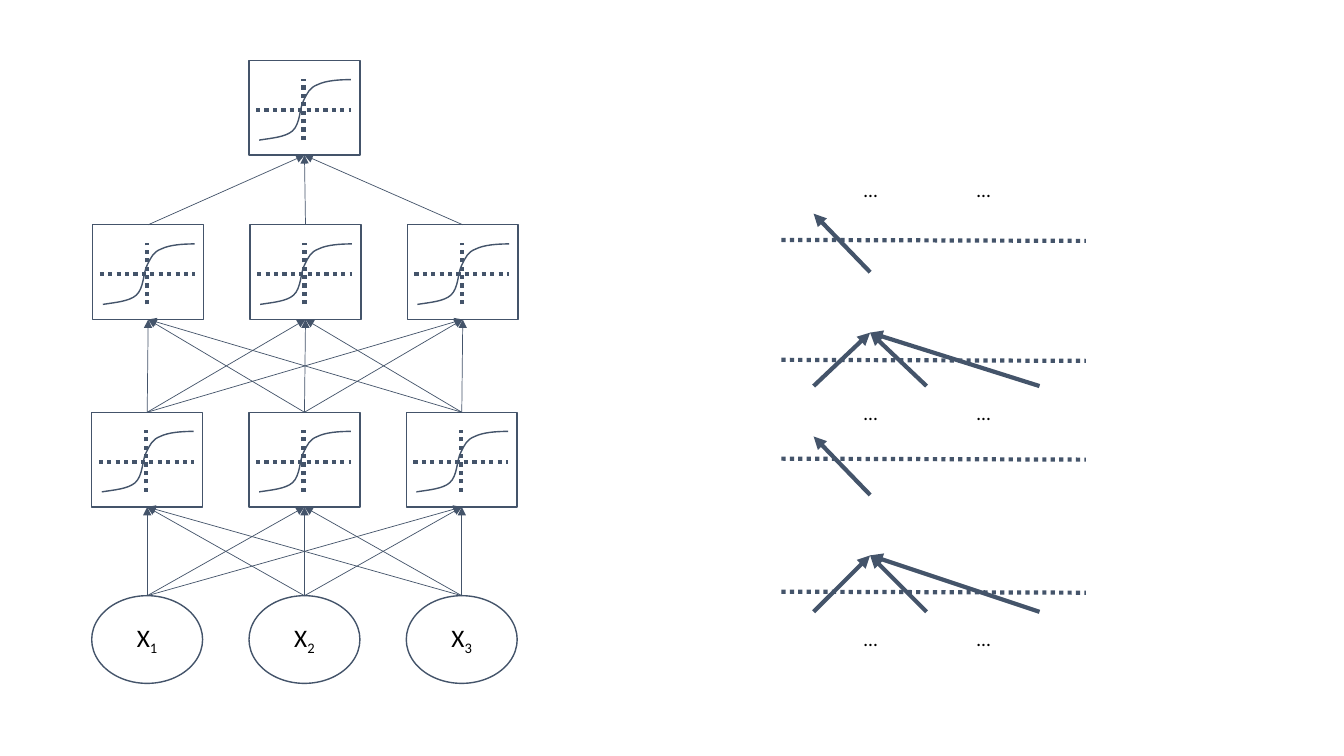
from itertools import product

from pptx import Presentation
from pptx.dml.color import RGBColor
from pptx.enum.dml import MSO_LINE
from pptx.enum.shapes import MSO_CONNECTOR, MSO_SHAPE
from pptx.enum.text import MSO_ANCHOR, MSO_AUTO_SIZE, PP_ALIGN
from pptx.oxml.ns import qn
from pptx.util import Inches, Pt
from lxml.etree import SubElement

PX = Inches(0.01)
SLATE = RGBColor(0x44, 0x54, 0x6A)
BLACK = RGBColor(0, 0, 0)
FONT = "Calibri"

COLUMNS = [91 + 156 * i for i in range(3)]
UNIT_WIDTH, UNIT_HEIGHT, INPUT_HEIGHT = 110, 94, 87
INPUT_TOP, LOWER_TOP, UPPER_TOP, OUTPUT_TOP = 591, 409, 223, 60

# Sigmoid inside a unit: a start point, then cubic segments (two controls, end)
SIGMOID_START = (10, 79)
SIGMOID_CURVES = [
    ((23, 77), (36, 76), (43, 70)),
    ((51, 63), (50, 47), (54, 40)),
    ((58, 32), (60, 27), (68, 24)),
    ((76, 20), (89, 19), (101, 19)),
]
SIGMOID_LEFT, SIGMOID_TOP = 10, 19


def add_span(para, text, size, baseline=None):
    span = para.add_run()
    span.text = text
    span.font.name = FONT
    span.font.size = Pt(size)
    span.font.color.rgb = BLACK
    if baseline is not None:
        span.font._element.set("baseline", str(baseline * 1000))


def outline(shape, weight=1):
    shape.fill.background()
    shape.line.color.rgb = SLATE
    shape.line.width = Pt(weight)
    shape.shadow.inherit = False


def add_line(group, start, end, weight, dotted=False, arrow=False):
    connector = group.shapes.add_connector(
        MSO_CONNECTOR.STRAIGHT, *(value * PX for value in (*start, *end)))
    connector.line.color.rgb = SLATE
    connector.line.width = Pt(weight)
    if dotted:
        connector.line.dash_style = MSO_LINE.ROUND_DOT
    properties = connector._element.spPr
    if arrow:
        SubElement(properties.find(qn("a:ln")), qn("a:tailEnd"), type="triangle")
    SubElement(properties, qn("a:effectLst"))
    return connector


def add_sigmoid(group, left, top):
    """Add the sigmoid by bending each straight segment into a cubic curve."""
    start, *ends = [((left + x) * PX, (top + y) * PX) for x, y in
                    (SIGMOID_START, *(curve[-1] for curve in SIGMOID_CURVES))]
    builder = group.shapes.build_freeform(*start)
    builder.add_line_segments(ends, close=False)
    sigmoid = builder.convert_to_shape()
    outline(sigmoid)
    segments = list(sigmoid._element.iter(qn("a:lnTo")))
    for segment, curve in zip(segments, SIGMOID_CURVES):
        segment.tag = qn("a:cubicBezTo")
        for child in list(segment):
            segment.remove(child)
        for x, y in curve:
            SubElement(segment, qn("a:pt"), x=str((x - SIGMOID_LEFT) * PX),
                       y=str((y - SIGMOID_TOP) * PX))


def add_unit(group, left, top):
    """Add a neuron box with its axes and sigmoid."""
    box = group.shapes.add_shape(MSO_SHAPE.RECTANGLE, left * PX, top * PX,
                                 UNIT_WIDTH * PX, UNIT_HEIGHT * PX)
    outline(box)
    add_sigmoid(group, left, top)
    add_line(group, (left + 7, top + 49), (left + 101, top + 49), 3, dotted=True)
    add_line(group, (left + 54, top + 79), (left + 54, top + 18), 3, dotted=True)
    return box


def add_input(group, left, number):
    oval = group.shapes.add_shape(MSO_SHAPE.OVAL, left * PX, INPUT_TOP * PX,
                                  UNIT_WIDTH * PX, INPUT_HEIGHT * PX)
    outline(oval)
    oval.text_frame.vertical_anchor = MSO_ANCHOR.MIDDLE
    para = oval.text_frame.paragraphs[0]
    para.alignment = PP_ALIGN.CENTER
    add_span(para, "X", 18)
    add_span(para, str(number), 18, baseline=-25)
    return oval


def join_layers(group, sources, targets):
    """Draw an arrow from the top of every source to the bottom of every target."""
    for source, target in product(sources, targets):
        arrow = add_line(group, (0, 0), (1, 1), 0.5, arrow=True)
        arrow.begin_connect(source, 0)
        arrow.end_connect(target, 2)


def add_ellipsis(group, left, top):
    box = group.shapes.add_textbox(left * PX, top * PX, 34 * PX, 34 * PX)
    box.text_frame.word_wrap = False
    box.text_frame.auto_size = MSO_AUTO_SIZE.SHAPE_TO_FIT_TEXT
    add_span(box.text_frame.paragraphs[0], "…", 14)


def add_network(page):
    group = page.shapes.add_group_shape()
    lower = [add_unit(group, left, LOWER_TOP) for left in COLUMNS]
    inputs = [add_input(group, left, i) for i, left in enumerate(COLUMNS, 1)]
    join_layers(group, inputs, lower)
    upper = [add_unit(group, left + 1, UPPER_TOP) for left in COLUMNS]
    output = add_unit(group, COLUMNS[1], OUTPUT_TOP)
    join_layers(group, upper, [output])
    join_layers(group, lower, upper)


def add_layer_sketch(page):
    group = page.shapes.add_group_shape()
    for top, left in product((617, 393, 172), (847, 959)):
        add_ellipsis(group, left, top)
    for base, tip, next_base in ((607, 551, 491), (383, 330, 270)):
        for left in (807, 919, 1031):
            add_line(group, (left, base), (863, tip), 3, arrow=True)
        add_line(group, (863, next_base), (807, next_base - 58), 3, arrow=True)
    for height in (238, 455, 587, 357):
        add_line(group, (775, height), (1077, height + 1), 3, dotted=True)


def main():
    deck = Presentation()
    deck.slide_width, deck.slide_height = 1333 * PX, 750 * PX
    page = deck.slides.add_slide(deck.slide_layouts[6])
    add_network(page)
    add_layer_sketch(page)
    deck.save("out.pptx")


if __name__ == "__main__":
    main()
